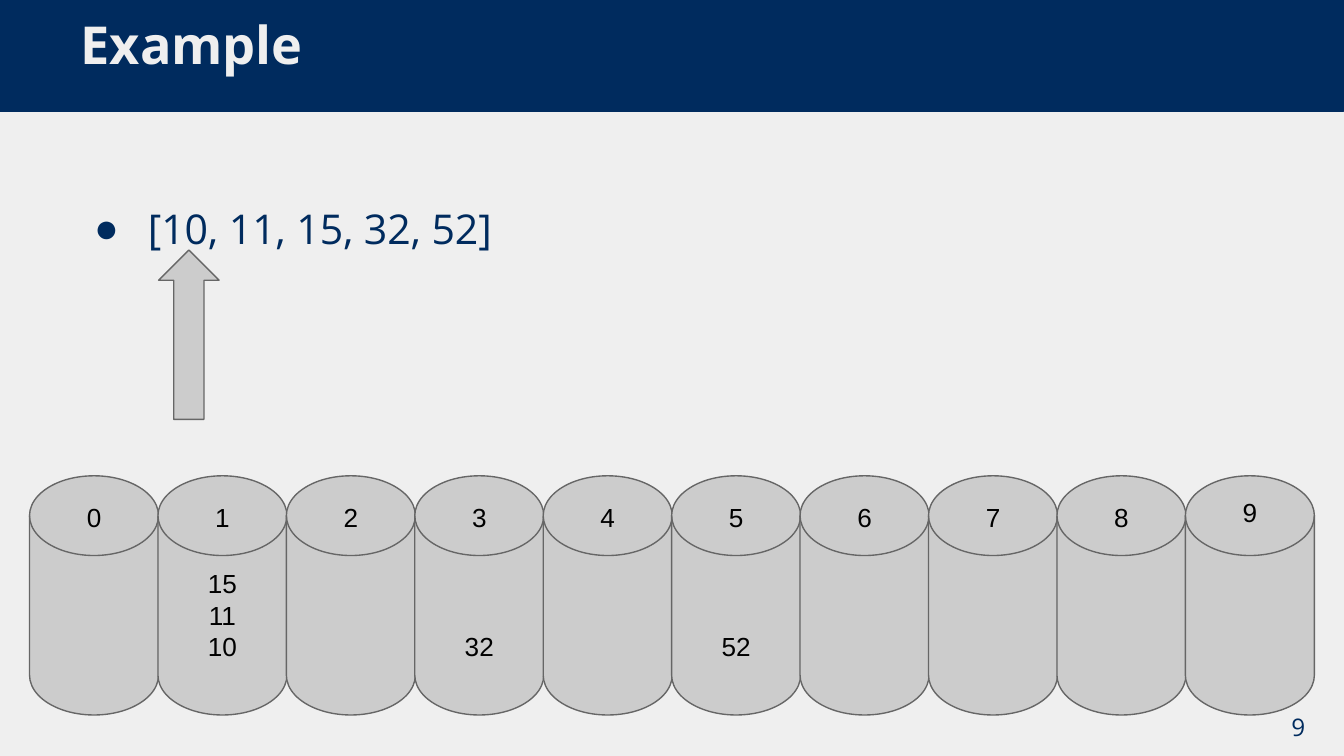
"""Build the bucket example slide: a sorted list above ten numbered buckets."""
from lxml import etree
from pptx import Presentation
from pptx.dml.color import RGBColor
from pptx.enum.shapes import MSO_SHAPE
from pptx.enum.text import MSO_ANCHOR, MSO_AUTO_SIZE, PP_ALIGN
from pptx.oxml.ns import qn
from pptx.util import Inches, Pt

LEFT, CENTER = PP_ALIGN.LEFT, PP_ALIGN.CENTER
TOP, MIDDLE, BOTTOM = MSO_ANCHOR.TOP, MSO_ANCHOR.MIDDLE, MSO_ANCHOR.BOTTOM
RECTANGLE, DOWN_ARROW = MSO_SHAPE.RECTANGLE, MSO_SHAPE.DOWN_ARROW
CYLINDER = MSO_SHAPE.FLOWCHART_MAGNETIC_DISK
FIXED_SIZE = MSO_AUTO_SIZE.NONE
COLORS = {"navy": "002B5E", "light": "EFEFEF", "gray": "CCCCCC",
          "outline": "666666", "black": "000000"}


def write_text(shape, text, size=14, font="Arial", color="black", bold=False,
               align=CENTER, anchor=TOP, line_spacing=1.0, space_before=0):
    frame = shape.text_frame
    frame.text = text
    frame.word_wrap = True
    frame.auto_size = FIXED_SIZE
    frame.vertical_anchor = anchor
    frame.margin_left = frame.margin_right = Inches(0.1)
    frame.margin_top = frame.margin_bottom = Inches(0.1)
    for paragraph in frame.paragraphs:
        paragraph.alignment = align
        paragraph.line_spacing = line_spacing
        paragraph.space_before = Pt(space_before)
        for run in paragraph.runs:
            run.font.size = Pt(size)
            run.font.name = font
            run.font.bold = bold
            run.font.color.rgb = RGBColor.from_string(COLORS[color])


def add_filled_shape(kind, left, top, width, height, fill="gray", line="outline", line_width=0.75):
    shape = slide.shapes.add_shape(kind, Inches(left), Inches(top), Inches(width), Inches(height))
    shape.shadow.inherit = False
    shape.fill.solid()
    shape.fill.fore_color.rgb = RGBColor.from_string(COLORS[fill])
    shape.line.color.rgb = RGBColor.from_string(COLORS[line])
    shape.line.width = Pt(line_width)
    return shape


presentation = Presentation()
presentation.slide_width = Inches(10)
presentation.slide_height = Inches(10) * 9 // 16
slide = presentation.slides.add_slide(presentation.slide_layouts[1])
slide.background.fill.solid()
slide.background.fill.fore_color.rgb = RGBColor.from_string(COLORS["light"])

title = slide.shapes.title
title.left, title.top, title.width, title.height = Inches(0.5), Inches(0.16), Inches(9), Inches(0.5)
write_text(title, "Example", size=28, font="Open Sans", color="light", bold=True,
           align=LEFT, anchor=BOTTOM)

body = slide.placeholders[1]
body.left, body.top, body.width, body.height = Inches(0.5), Inches(1.05), Inches(9), Inches(2.22)
write_text(body, "[10, 11, 15, 32, 52]", size=22, font="Open Sans", color="navy",
           align=LEFT, line_spacing=2.0, space_before=6)
properties = body.text_frame.paragraphs[0]._p.get_or_add_pPr()
properties.set("marL", str(Inches(0.5)))
properties.set("indent", str(Inches(-0.4)))
bullet_color = etree.SubElement(properties, qn("a:buClr"))
etree.SubElement(bullet_color, qn("a:srgbClr"), val=COLORS["navy"])
etree.SubElement(properties, qn("a:buFont"), typeface="Arial")
etree.SubElement(properties, qn("a:buChar"), char="●")

header = add_filled_shape(RECTANGLE, 0, 0, 10, 0.82, "navy", "navy", 1.5)
title.element.addprevious(header.element)

page_number = slide.shapes.add_textbox(Inches(9.36), Inches(5.19), Inches(0.6), Inches(0.43))
write_text(page_number, "9", size=13, font="Open Sans", color="navy", anchor=MIDDLE)

bucket_count = 10
first_left, last_left = 0.22, 8.82
bucket_pitch = (last_left - first_left) / (bucket_count - 1)
bucket_contents = {1: "15\n11\n10", 3: "32", 5: "52"}
for digit in range(bucket_count):
    bucket = add_filled_shape(CYLINDER, first_left + digit * bucket_pitch, 3.54, 0.96, 1.78)
    if digit in bucket_contents:
        write_text(bucket, bucket_contents[digit], anchor=BOTTOM)

for digit in range(bucket_count):
    label_left = first_left + 0.23 + digit * bucket_pitch
    label_top = 3.59 if digit == 9 else 3.63
    label = slide.shapes.add_textbox(Inches(label_left), Inches(label_top), Inches(0.5), Inches(0.43))
    write_text(label, str(digit))

pointer = add_filled_shape(DOWN_ARROW, 1.18, 1.86, 0.45, 1.26)
pointer.rotation = 180

presentation.save("out.pptx")
